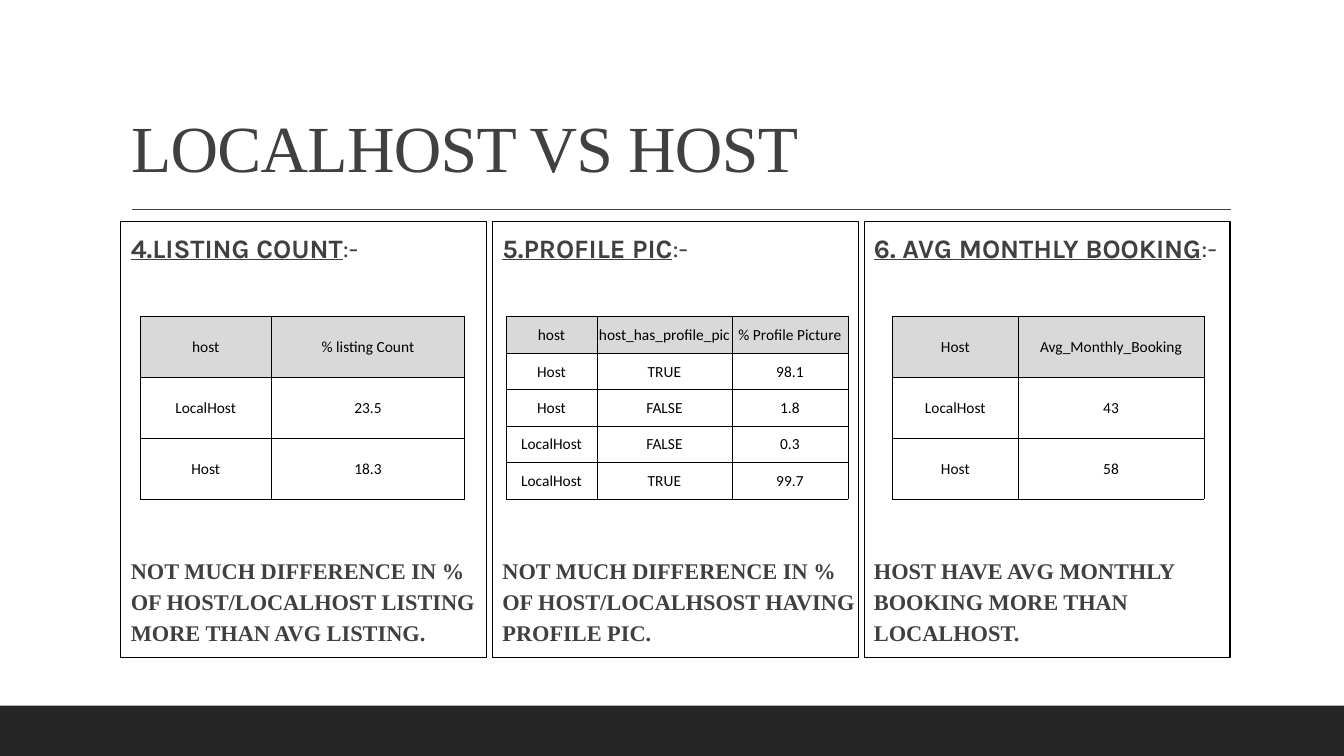
from lxml.etree import SubElement
from pptx import Presentation
from pptx.dml.color import RGBColor
from pptx.enum.shapes import MSO_CONNECTOR, MSO_SHAPE
from pptx.enum.text import MSO_ANCHOR, MSO_AUTO_SIZE, PP_ALIGN
from pptx.oxml.ns import qn
from pptx.util import Inches, Pt

BLACK = RGBColor(0x00, 0x00, 0x00)
DARK = RGBColor(0x26, 0x26, 0x26)
GREY = RGBColor(0x40, 0x40, 0x40)
HEADER = RGBColor(0xD9, 0xD9, 0xD9)

SERIF, HEADING, TABLE = "Times New Roman", "Karla", "Calibri"

PANEL_LEFT, PANEL_TOP, PANEL_STEP = 1.2, 2.2, 3.685
PANEL_WIDTH, PANEL_HEIGHT = 3.63, 4.32
TABLE_TOP, TABLE_HEIGHT = 3.14, 1.81

# Heading, note, table left, column widths, table rows
PANELS = [
    ("4.LISTING COUNT",
     "NOT MUCH DIFFERENCE IN % OF HOST/LOCALHOST LISTING MORE THAN AVG LISTING.",
     1.39, [1.3, 1.92],
     [["host", "% listing Count"], ["LocalHost", "23.5"], ["Host", "18.3"]]),
    ("5.PROFILE PIC",
     "NOT MUCH DIFFERENCE IN % OF HOST/LOCALHSOST HAVING PROFILE PIC.",
     5.02, [0.9, 1.34, 1.15],
     [["host", "host_has_profile_pic", "% Profile Picture"],
      ["Host", "TRUE", "98.1"], ["Host", "FALSE", "1.8"],
      ["LocalHost", "FALSE", "0.3"], ["LocalHost", "TRUE", "99.7"]]),
    ("6. AVG MONTHLY BOOKING",
     "HOST HAVE AVG MONTHLY BOOKING MORE THAN LOCALHOST.",
     8.85, [1.25, 1.84],
     [["Host", "Avg_Monthly_Booking"], ["LocalHost", "43"], ["Host", "58"]]),
]


class SlideBuilder:
    def __init__(self, prs):
        self.s = prs.slides.add_slide(prs.slide_layouts[5])

    def style(self, r, font, size, color, bold=False, underline=False):
        r.font.name, r.font.size = font, Pt(size)
        r.font.color.rgb = color
        r.font.bold, r.font.underline = bold, underline

    def title(self, text, left, top, width, height):
        sp = self.s.shapes.title
        sp.left, sp.top = Inches(left), Inches(top)
        sp.width, sp.height = Inches(width), Inches(height)
        tf = sp.text_frame
        tf.text = text
        tf.auto_size = MSO_AUTO_SIZE.NONE
        tf.vertical_anchor = MSO_ANCHOR.BOTTOM
        p = tf.paragraphs[0]
        p.alignment, p.line_spacing = PP_ALIGN.LEFT, 0.9
        r = p.runs[0]
        self.style(r, SERIF, 47, GREY)
        r.font._element.set("spc", "-50")

    def rect(self, left, top, width, height, fill=None, line=None):
        sp = self.s.shapes.add_shape(
            MSO_SHAPE.RECTANGLE, Inches(left), Inches(top),
            Inches(width), Inches(height))
        sp.shadow.inherit = False
        if fill is None:
            sp.fill.background()
        else:
            sp.fill.solid()
            sp.fill.fore_color.rgb = fill
        if line is None:
            sp.line.fill.background()
        else:
            sp.line.color.rgb = line
            sp.line.width = Pt(0.75)
        return sp

    def rule(self, x1, x2, y):
        line = self.s.shapes.add_connector(
            MSO_CONNECTOR.STRAIGHT, Inches(x1), Inches(y), Inches(x2), Inches(y))
        line.line.color.rgb = GREY
        line.line.width = Pt(1)
        SubElement(line._element.spPr, qn("a:effectLst"))

    def panel(self, left, heading, note):
        sp = self.rect(left, PANEL_TOP, PANEL_WIDTH, PANEL_HEIGHT, line=BLACK)
        tf = sp.text_frame
        tf.word_wrap = True
        tf.vertical_anchor = MSO_ANCHOR.TOP
        tf.margin_left, tf.margin_right = Inches(0.1), 0
        tf.margin_top = tf.margin_bottom = Inches(0.05)
        p = tf.paragraphs[0]
        p.text = heading
        self.style(p.runs[0], HEADING, 19, GREY, bold=True, underline=True)
        r = p.add_run()
        r.text = ":-"
        self.style(r, HEADING, 19, GREY)
        p = tf.add_paragraph()
        p.text = note
        p.space_before = Pt(207)  # room for the table
        self.style(p.runs[0], SERIF, 16, GREY, bold=True)
        for p in tf.paragraphs:
            p.alignment, p.line_spacing = PP_ALIGN.LEFT, 1.15

    def border(self, cell):
        tcPr = cell._tc.get_or_add_tcPr()
        for i, side in enumerate(("a:lnL", "a:lnR", "a:lnT", "a:lnB")):
            ln = tcPr.makeelement(qn(side), {"w": str(Pt(0.5))})
            fill = SubElement(ln, qn("a:solidFill"))
            SubElement(fill, qn("a:srgbClr"), val=str(BLACK))
            tcPr.insert(i, ln)

    def table(self, left, widths, rows):
        tbl = self.s.shapes.add_table(
            len(rows), len(widths), Inches(left), Inches(TABLE_TOP),
            Inches(sum(widths)), Inches(TABLE_HEIGHT)).table
        tbl.first_row = tbl.horz_banding = False
        for col, width in zip(tbl.columns, widths):
            col.width = Inches(width)
        for i, values in enumerate(rows):
            for j, value in enumerate(values):
                self.cell(tbl.cell(i, j), value, header=i == 0)

    def cell(self, cell, value, header):
        cell.text = value
        cell.vertical_anchor = MSO_ANCHOR.MIDDLE
        cell.margin_left = cell.margin_right = cell.margin_top = Inches(0.01)
        cell.margin_bottom = 0
        if header:
            cell.fill.solid()
            cell.fill.fore_color.rgb = HEADER
        else:
            cell.fill.background()
        p = cell.text_frame.paragraphs[0]
        p.alignment = PP_ALIGN.CENTER
        self.style(p.runs[0], TABLE, 11, BLACK)
        self.border(cell)


def main():
    prs = Presentation()
    prs.slide_width, prs.slide_height = Inches(13.33), Inches(7.5)
    slide = SlideBuilder(prs)

    # Title, rule and footer band
    slide.rect(0, 7, 13.33, 0.5, fill=DARK)
    slide.rule(1.31, 12.21, 2.08)
    slide.title("LOCALHOST VS HOST", 1.2, 0.31, 11, 1.59)

    # Three comparison panels with their tables
    for i, (heading, note, left, widths, rows) in enumerate(PANELS):
        slide.panel(PANEL_LEFT + i * PANEL_STEP, heading, note)
        slide.table(left, widths, rows)

    prs.save("out.pptx")


if __name__ == "__main__":
    main()
